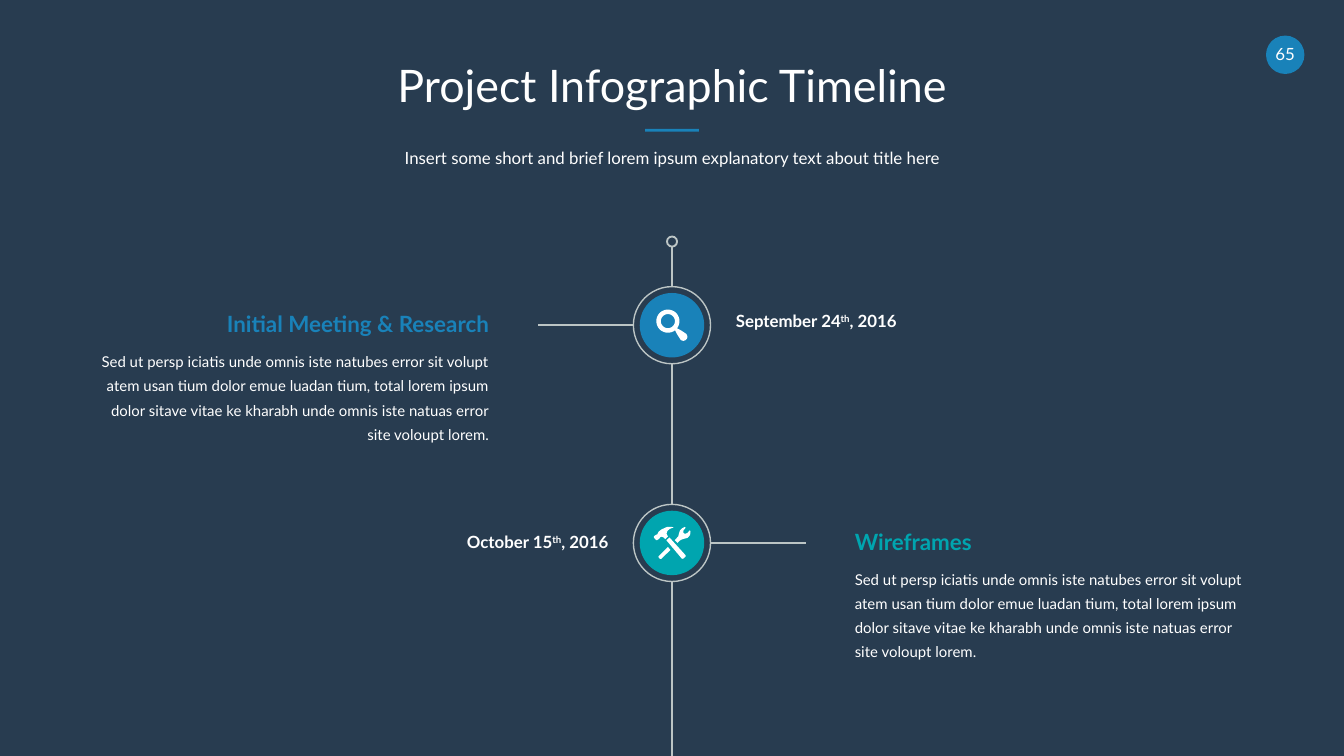
from math import cos, radians, sin

from lxml.etree import SubElement
from pptx import Presentation
from pptx.dml.color import RGBColor
from pptx.enum.shapes import MSO_CONNECTOR as Connector, MSO_SHAPE as Shape
from pptx.enum.text import PP_ALIGN as Align
from pptx.oxml.ns import qn
from pptx.util import Inches, Pt

COLORS = {"night": "283C50", "blue": "1982B9", "teal": "00A5AF",
          "white": "FFFFFF", "grey": "BCC5C5"}
WIDTH = Inches(10)
HEIGHT = WIDTH * 9 // 16
UNIT = WIDTH // 100  # side of one square grid cell
COLS, ROWS = WIDTH / UNIT, HEIGHT / UNIT
RING, DISC = 5.74, 4.8  # diameters of a milestone badge
FONT = "Lato"
BODY = ("Sed ut persp iciatis unde omnis iste natubes error sit volupt atem usan "
        "tium dolor emue luadan tium, total lorem ipsum dolor sitave vitae ke "
        "kharabh unde omnis iste natuas error site voloupt lorem.")


def cells(*counts):
    return [round(count * UNIT) for count in counts]


def rgb(name):
    return RGBColor.from_string(COLORS[name])


def paint(shape, fill=None, line=None, weight=1):
    shape.shadow.inherit = False
    if fill:
        shape.fill.solid()
        shape.fill.fore_color.rgb = rgb(fill)
    else:
        shape.fill.background()
    if line:
        shape.line.color.rgb = rgb(line)
        shape.line.width = Pt(weight)
    else:
        shape.line.fill.background()


def circle(shapes, x, y, diameter, **style):
    """Place a circle by its centre."""
    box = cells(x - diameter / 2, y - diameter / 2, diameter, diameter)
    paint(shapes.add_shape(Shape.OVAL, *box), **style)


def rule(shapes, x1, y1, x2, y2):
    connector = shapes.add_connector(Connector.STRAIGHT, *cells(x1, y1, x2, y2))
    connector.line.color.rgb = rgb("grey")
    connector.line.width = Pt(1)
    SubElement(connector._element.spPr, qn("a:effectLst"))


def write(slide, box, pieces, size, color="white", bold=False,
          align=Align.LEFT, spacing=None):
    """Add one paragraph; every second piece is set as superscript."""
    frame = slide.shapes.add_textbox(*cells(*box)).text_frame
    frame.word_wrap = True
    frame.margin_left = frame.margin_right = 0
    frame.margin_top = frame.margin_bottom = 0
    paragraph = frame.paragraphs[0]
    paragraph.alignment = align
    if spacing:
        paragraph.line_spacing = spacing
    for index, piece in enumerate(pieces):
        run = paragraph.add_run()
        run.text = piece
        run.font.name, run.font.size, run.font.bold = FONT, Pt(size), bold
        run.font.color.rgb = rgb(color)
        if index % 2:
            run._r.get_or_add_rPr().set("baseline", "30000")


def arc(x, y, radius, start, end):
    steps = 36
    angles = [radians(start + (end - start) * i / steps) for i in range(steps + 1)]
    return [(x + radius * cos(a), y + radius * sin(a)) for a in angles]


# Icon outlines on a 64-unit grid centred on the disc
MAGNIFIER = [
    arc(-4, -4, 11.5, 52, 398)
    + [(9.4, 5.4), (14, 8.5)] + arc(11.3, 11.5, 4, -40, 130) + [(5.4, 9.4)],
    arc(-4, -4, 7, 360, 0),
]
TOOLS = [
    # wrench handle
    [(-13.4, 13.4), (-13.2, 14.5), (-12, 15.8), (-10.7, 15.8), (-1.5, 7), (-4, 4)],
    # wrench head
    [(2.7, -2.7), (6.3, -6.5), (7, -9.5), (8, -12.5), (10, -14.5), (12.7, -15.8),
     (13.5, -15), (11.2, -12), (11.5, -9.7), (13.2, -9), (15.5, -10),
     (17.6, -12.4), (18.4, -11.5), (18, -7.8), (15.5, -5), (11.8, -4),
     (8.7, -3), (5.4, 0)],
    # hammer handle
    [(-2.5, -5.4), (-5.5, -2.6), (9.7, 15.5), (10.9, 15.8), (13.6, 13.5),
     (13.6, 12.3)],
    # hammer head
    [(-12, -5.4), (-10.5, -6.2), (-8.5, -5.5), (-6.7, -3.8), (-4, -6.5),
     (-5.4, -9.2), (-4.5, -12), (-2, -14), (1.7, -15.3), (-1, -16), (-5, -15.8),
     (-10.5, -13.3), (-13.4, -11), (-14.5, -8.5), (-16, -8), (-18, -6.5),
     (-18, -5.4), (-15.8, -2.8), (-14.6, -2.8), (-12.5, -4.2)],
]


def badge(slide, x, y, color, outlines):
    shapes = slide.shapes.add_group_shape().shapes
    circle(shapes, x, y, DISC, fill=color)
    scale = DISC / 64
    icon = None
    for outline in outlines:
        points = [tuple(cells(x + dx * scale, y + dy * scale)) for dx, dy in outline]
        if icon is None:
            icon = shapes.build_freeform(*points[0])
        else:
            icon.move_to(*points[0])
        icon.add_line_segments(points[1:], close=True)
    paint(icon.convert_to_shape(), fill="white")
    circle(slide.shapes, x, y, RING, line="grey", weight=0.75)


def header(slide, box):
    x, y, width, _ = box
    accent = slide.shapes.add_shape(
        Shape.RECTANGLE, *cells(x + width / 2 - 2, y + 5.3, 4, 0.2))
    paint(accent, fill="blue")
    write(slide, (x, y, width, 4.4), ["Project Infographic Timeline"], 24,
          align=Align.CENTER)
    write(slide, (x, y + 6.7, width, 1.7),
          ["Insert some short and brief lorem ipsum explanatory text about title here"],
          9, align=Align.CENTER)


def page_number(slide, box, number):
    x, y, size, _ = box
    circle(slide.shapes, x + size / 2, y + size / 2, size, fill="blue")
    write(slide, (x, y + 0.6, size, 1.5), [number], 9, align=Align.CENTER)


def milestone(slide, box, side, color, icon, heading, date, date_rise):
    """Describe a step on one side (-1 left, 1 right) and date it on the other."""
    x, y, width, _ = box
    middle, center = x + width / 2, y + RING / 2

    def beside(direction, gap, top, span, height):
        left = middle + gap if direction > 0 else middle - gap - span
        return left, center + top, span, height

    def toward_axis(direction):
        return Align.LEFT if direction > 0 else Align.RIGHT

    badge(slide, middle, center, color, icon)
    rule(slide.shapes, middle + side * RING / 2, center, middle + side * 10, center)
    text_width = width * 0.34
    gap = width / 2 - text_width
    write(slide, beside(side, gap, -1.1, text_width, 2), [heading], 12, color,
          bold=True, align=toward_axis(side))
    write(slide, beside(side, gap, 1.6, text_width, 7.3), [BODY], 8,
          align=toward_axis(side), spacing=1.35)
    write(slide, beside(-side, 4.75, -date_rise, 16.2, 1.5), date, 9, bold=True,
          align=toward_axis(-side))


def timeline(slide, box):
    x, y, width, height = box
    middle, pin = x + width / 2, 0.75
    steps = [
        (-1, "blue", MAGNIFIER, "Initial Meeting & Research",
         ["September 24", "th", ", 2016"], 1.1),
        (1, "teal", TOOLS, "Wireframes", ["October 15", "th", ", 2016"], 0.8),
    ]
    first, pitch = y + 3.73, 16.2
    tops = [first + pitch * i for i in range(len(steps))]

    start = slide.shapes.add_group_shape().shapes
    rule(start, middle, y + pin, middle, first)
    circle(start, middle, y + pin / 2, pin, line="grey")
    for top, end in zip(tops, tops[1:] + [y + height]):
        rule(slide.shapes, middle, top + RING, middle, end)
    for top, step in zip(tops, steps):
        milestone(slide, (x, top, width, pitch), *step)


def main():
    deck = Presentation()
    deck.slide_width, deck.slide_height = WIDTH, HEIGHT
    slide = deck.slides.add_slide(deck.slide_layouts[6])
    slide.background.fill.solid()
    slide.background.fill.fore_color.rgb = rgb("night")
    margin = 7.5
    content = COLS - 2 * margin
    header(slide, (margin, 4.3, content, 8.4))
    page_number(slide, (94.2, 2.65, 2.86, 2.86), "65")
    timeline(slide, (margin, 17.6, content, ROWS - 17.6))
    deck.save("out.pptx")


if __name__ == "__main__":
    main()
